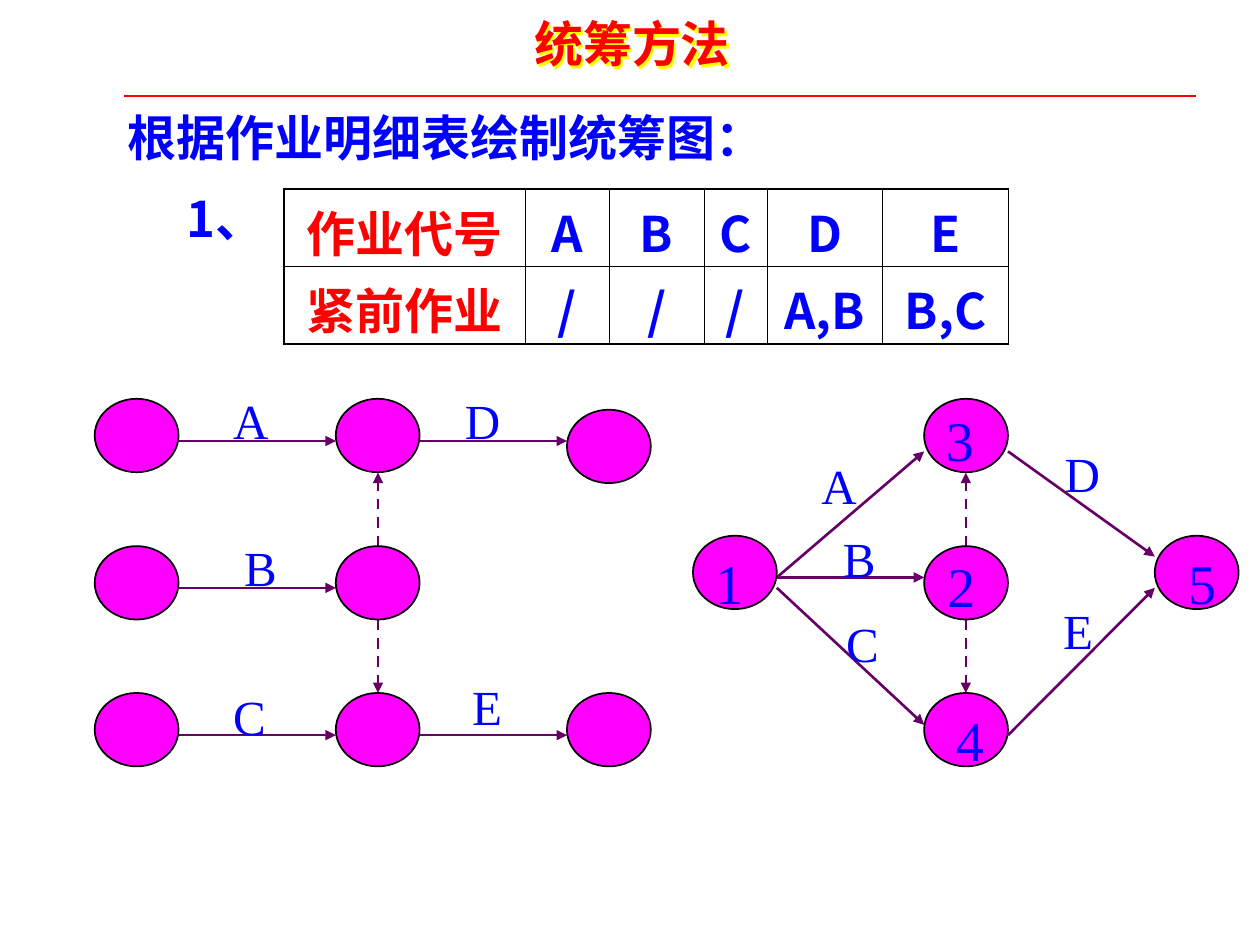
from dataclasses import dataclass

from lxml import etree
from pptx import Presentation
from pptx import util as u
from pptx.dml.color import RGBColor
from pptx.enum import dml, shapes, text
from pptx.oxml import ns

Cm = u.Cm


@dataclass(frozen=True)
class Theme:
    red: str = "FF0000"
    blue: str = "0000FF"
    yellow: str = "FFFF00"
    magenta: str = "FF00FF"
    purple: str = "660066"
    black: str = "000000"
    cjk: str = "Noto Sans CJK SC"
    serif: str = "Times New Roman"
    body: int = 28
    number: int = 32
    outline: float = 1
    arrow: float = 1.5
    border_outer: float = 1.08
    border_inner: float = 0.45


THEME = Theme()
NODE_WIDTH, NODE_HEIGHT = 1.69, 1.48

LEFT_NODES = [(x, y) for y in (8.04, 11.01, 13.97) for x in (1.91, 6.77)]
LEFT_NODES += [(11.43, 8.26), (11.43, 13.97)]
LEFT_ARROWS = [
    (3.39, 8.89, 6.77, 8.89), (3.6, 11.85, 6.77, 11.85), (3.6, 14.82, 6.77, 14.82),
    (8.47, 8.89, 11.43, 8.89), (8.47, 14.82, 11.43, 14.82),
]
LEFT_LABELS = [
    ("A", 4.45, 7.62), ("B", 4.67, 10.59), ("C", 4.45, 13.59),
    ("D", 9.12, 7.62), ("E", 9.27, 13.39),
]

RIGHT_NODES = [(13.97, 10.8), (18.63, 8.04), (18.63, 11.01), (18.63, 13.97), (23.28, 10.8)]
RIGHT_ARROWS = [
    (15.66, 11.64, 18.63, 9.1), (15.66, 11.64, 18.63, 11.64), (15.66, 11.85, 18.63, 14.61),
    (20.32, 9.1, 23.28, 11.22), (20.32, 14.82, 23.28, 11.85),
]
RIGHT_LABELS = [
    ("A", 16.31, 8.94), ("B", 16.74, 10.41), ("C", 16.81, 12.12),
    ("D", 21.21, 8.69), ("E", 21.18, 11.86),
]
NUMBERS = [
    ("1", 14.17, 10.8), ("2", 18.85, 10.87), ("3", 18.82, 7.92),
    ("4", 19.02, 13.97), ("5", 23.7, 10.8),
]

TASKS = [
    ("作业代号", "A", "B", "C", "D", "E"),
    ("紧前作业", "/", "/", "/", "A,B", "B,C"),
]
COLUMN_WIDTHS = (4.87, 1.69, 1.91, 1.27, 2.33, 2.54)
ROW_HEIGHT = 1.56


def rgb(value):
    return RGBColor.from_string(value)


def apply(target, values):
    for name, value in values.items():
        setattr(target, name, value)


def add_xml(parent, tag, **attributes):
    return etree.SubElement(parent, ns.qn(tag), attributes)


def write(paragraph, content, color, font=THEME.cjk, size=THEME.body, bold=True):
    run = paragraph.add_run()
    run.text = content
    apply(run.font, {"name": font, "size": u.Pt(size), "bold": bold})
    run.font.color.rgb = rgb(color)
    add_xml(run.font._element, "a:ea", typeface=THEME.cjk)


def add_text(container, content, left, top, width, height=1.45, margin_top=0,
             color=THEME.blue, **font):
    box = container.add_textbox(Cm(left), Cm(top), Cm(width), Cm(height))
    apply(box.text_frame, {
        "word_wrap": True, "auto_size": text.MSO_AUTO_SIZE.NONE,
        "vertical_anchor": text.MSO_ANCHOR.TOP, "margin_top": Cm(margin_top),
    })
    write(box.text_frame.paragraphs[0], content, color, **font)
    return box


def add_letter(container, content, left, top, width=1.2, height=1.45, size=THEME.body):
    add_text(container, content, left, top, width, height, margin_top=0.25,
             font=THEME.serif, size=size, bold=False)


def add_line(container, points, color, width):
    line = container.add_connector(shapes.MSO_CONNECTOR.STRAIGHT, *map(Cm, points))
    line.line.color.rgb = rgb(color)
    line.line.width = u.Pt(width)
    add_xml(line._element.spPr, "a:effectLst")
    return line


def add_arrow(container, points, dashed=False):
    arrow = add_line(container, points, THEME.purple, THEME.arrow)
    if dashed:
        arrow.line.dash_style = dml.MSO_LINE.DASH
    add_xml(arrow.line._get_or_add_ln(), "a:tailEnd", type="triangle")


def add_node(container, left, top):
    node = container.add_shape(shapes.MSO_SHAPE.OVAL, Cm(left), Cm(top),
                               Cm(NODE_WIDTH), Cm(NODE_HEIGHT))
    node.shadow.inherit = False
    node.fill.solid()
    node.fill.fore_color.rgb = rgb(THEME.magenta)
    node.line.color.rgb = rgb(THEME.black)
    node.line.width = u.Pt(THEME.outline)


def add_network(container, nodes, arrows, labels, dashed_x):
    for points in arrows:
        add_arrow(container, points)
    for start, end in ((11.01, 9.53), (12.49, 13.97)):
        add_arrow(container, (dashed_x, start, dashed_x, end), dashed=True)
    for node in nodes:
        add_node(container, *node)
    for label in labels:
        add_letter(container, *label)


def set_borders(cell, outer_sides):
    properties = cell._tc.get_or_add_tcPr()
    for index, side in enumerate("LRTB"):
        width = THEME.border_outer if side in outer_sides else THEME.border_inner
        border = etree.Element(ns.qn("a:ln" + side), w=str(u.Pt(width)))
        add_xml(add_xml(border, "a:solidFill"), "a:srgbClr", val=THEME.black)
        properties.insert(index, border)


def add_task_table(slide):
    rows, columns = len(TASKS), len(COLUMN_WIDTHS)
    table = slide.shapes.add_table(rows, columns, Cm(5.72), Cm(3.81),
                                   Cm(sum(COLUMN_WIDTHS)), Cm(rows * ROW_HEIGHT)).table
    apply(table, {"first_row": False, "horz_banding": False})
    for column, width in zip(table.columns, COLUMN_WIDTHS):
        column.width = Cm(width)
    for r, values in enumerate(TASKS):
        table.rows[r].height = Cm(ROW_HEIGHT)
        for c, value in enumerate(values):
            cell = table.cell(r, c)
            cell.fill.background()
            apply(cell, {"margin_top": Cm(0.13), "margin_bottom": 0,
                         "vertical_anchor": text.MSO_ANCHOR.MIDDLE})
            paragraph = cell.text_frame.paragraphs[0]
            paragraph.alignment = text.PP_ALIGN.CENTER
            write(paragraph, value, THEME.blue if c else THEME.red)
            edges = {"L": c == 0, "R": c == columns - 1, "T": r == 0, "B": r == rows - 1}
            set_borders(cell, [side for side, outer in edges.items() if outer])


def add_title(slide):
    title = add_text(slide.shapes, "统筹方法", 10.52, 0.28, 4.95, color=THEME.red)
    effects = add_xml(title._element.spPr, "a:effectLst")
    shadow = add_xml(effects, "a:outerShdw", dist="28400", dir="2700000", algn="ctr")
    add_xml(shadow, "a:srgbClr", val=THEME.yellow)
    add_line(slide.shapes, (2.49, 1.93, 24.1, 1.93), THEME.red, THEME.outline)


def main():
    presentation = Presentation()
    apply(presentation, {"slide_width": Cm(25.4), "slide_height": Cm(19.05)})
    slide = presentation.slides.add_slide(presentation.slide_layouts[6])
    add_title(slide)
    add_text(slide.shapes, "根据作业明细表绘制统筹图：", 2.33, 2.16, 17.2, font=THEME.serif)
    add_text(slide.shapes, "1、", 3.51, 3.81, 3)
    add_task_table(slide)
    add_network(slide.shapes, LEFT_NODES, LEFT_ARROWS, LEFT_LABELS, 7.62)
    group = slide.shapes.add_group_shape()
    add_network(group.shapes, RIGHT_NODES, RIGHT_ARROWS, RIGHT_LABELS, 19.47)
    for number in NUMBERS:
        add_letter(slide.shapes, *number, width=1.07, height=1.63, size=THEME.number)
    presentation.save("out.pptx")


if __name__ == "__main__":
    main()
